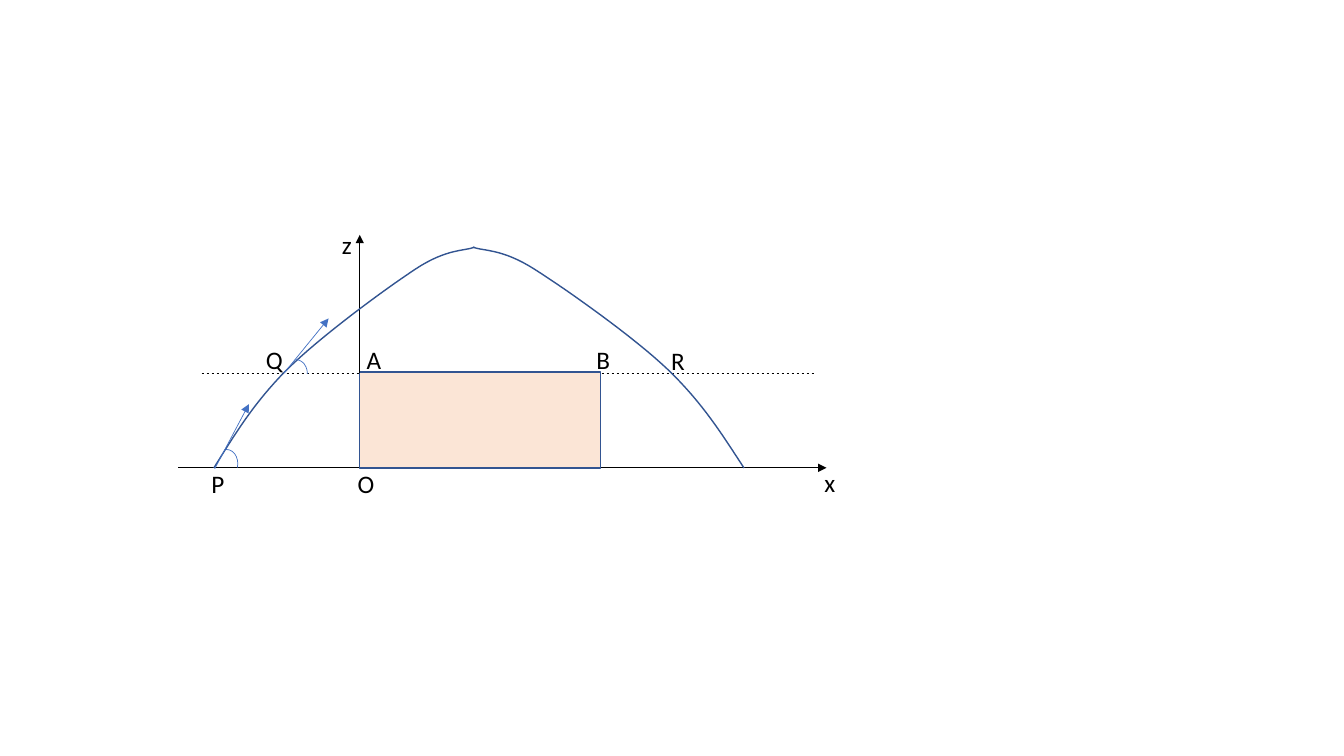
import pptx
import pptx.dml.color
import pptx.enum.dml
import pptx.enum.shapes
import pptx.enum.text
import pptx.oxml
import pptx.oxml.ns
import pptx.util

Pt = pptx.util.Pt
FONT = "Calibri"
COLOURS = {
    "ink": "000000",
    "outline": "325491",
    "vector": "4472C4",
    "block": "FBE5D6",
}

GROUND = 334.2
ROOF = 266.4
WALL = 257
STEPS = 16

# Half of the flight: x grows from the foot to the apex, y is height above ground.
HALF_FLIGHT = [
    [(0, 0), (14.4, 23), (28.1, 46), (51.8, 69.8)],
    [(51.8, 69.8), (75.6, 93.5), (121.7, 127.3), (144, 142)],
    [(144, 142), (166.3, 156.8), (179.3, 154.8), (186.2, 157.7)],
]

LABELS = [
    ("A", 254.9, 242.6, 17.3),
    ("B", 419, 242.6, 17.3),
    ("O", 248.4, 331, 18),
    ("x", 581.8, 330.6, 15),
    ("z", 237.6, 160, 13.7),
    ("P", 144, 331, 16.6),
    ("Q", 182.9, 242.6, 18),
    ("R", 472.3, 243.4, 16.6),
]


def rgb(name):
    return pptx.dml.color.RGBColor.from_string(COLOURS[name])


def style_line(line, colour, width):
    line.color.rgb = rgb(colour)
    line.width = Pt(width)


def add_line(drawing, start, end, colour, arrow=True):
    """Add a thin line with an arrowhead, or a dashed one without."""
    connector = drawing.shapes.add_connector(
        pptx.enum.shapes.MSO_CONNECTOR.STRAIGHT,
        *(Pt(value) for value in (*start, *end)))
    style_line(connector.line, colour, 0.5)
    properties = connector._element.spPr
    if arrow:
        head = pptx.oxml.parse_xml(
            f'<a:tailEnd {pptx.oxml.ns.nsdecls("a")} type="triangle"/>')
        properties.find(pptx.oxml.ns.qn("a:ln")).append(head)
    else:
        connector.line.dash_style = pptx.enum.dml.MSO_LINE.DASH
    properties.append(pptx.oxml.parse_xml(
        f'<a:effectLst {pptx.oxml.ns.nsdecls("a")}/>'))


def add_block(drawing, left, top, width, height):
    block = drawing.shapes.add_shape(
        pptx.enum.shapes.MSO_SHAPE.RECTANGLE,
        Pt(left), Pt(top), Pt(width), Pt(height))
    block.shadow.inherit = False
    block.fill.solid()
    block.fill.fore_color.rgb = rgb("block")
    style_line(block.line, "outline", 1)


def add_angle(drawing, left, top, end):
    angle = drawing.shapes.add_shape(
        pptx.enum.shapes.MSO_SHAPE.ARC, Pt(left), Pt(top), Pt(15.8), Pt(20.2))
    angle.adjustments[0] = 160.07
    angle.adjustments[1] = end
    angle.shadow.inherit = False
    angle.fill.background()
    style_line(angle.line, "vector", 0.5)


def bezier(points, t):
    weights = ((1 - t) ** 3, 3 * t * (1 - t) ** 2, 3 * t ** 2 * (1 - t), t ** 3)
    return [sum(w * point[axis] for w, point in zip(weights, points))
            for axis in (0, 1)]


def add_flight(drawing, foot, stretch):
    """Draw half of the flight; a negative stretch mirrors it."""
    outline = []
    for segment in HALF_FLIGHT:
        for step in range(1, STEPS + 1):
            x, y = bezier(segment, step / STEPS)
            outline.append((Pt(foot + stretch * x), Pt(GROUND - y)))
    builder = drawing.shapes.build_freeform(Pt(foot), Pt(GROUND))
    builder.add_line_segments(outline, close=False)
    curve = builder.convert_to_shape()
    curve.shadow.inherit = False
    curve.fill.background()
    style_line(curve.line, "outline", 1)


def add_label(drawing, text, left, top, width):
    box = drawing.shapes.add_textbox(Pt(left), Pt(top), Pt(width), Pt(21.6))
    frame = box.text_frame
    frame.word_wrap = False
    frame.auto_size = pptx.enum.text.MSO_AUTO_SIZE.SHAPE_TO_FIT_TEXT
    span = frame.paragraphs[0].add_run()
    span.text = text
    span.font.name = FONT
    span.font.size = Pt(18)
    span.font.color.rgb = rgb("ink")


def main():
    deck = pptx.Presentation()
    deck.slide_width, deck.slide_height = Pt(960), Pt(540)
    page = deck.slides.add_slide(deck.slide_layouts[6])
    drawing = page.shapes.add_group_shape()

    add_line(drawing, (127.5, GROUND), (590.4, GROUND), "ink")
    add_line(drawing, (144, ROOF), (581.8, ROOF), "ink", arrow=False)
    add_block(drawing, WALL, 265.8, 172, 68.4)
    add_line(drawing, (WALL, ROOF), (WALL, 167.8), "ink")

    add_flight(drawing, 152.8, 1)
    add_flight(drawing, 531.4, -1.04)

    add_line(drawing, (203, ROOF), (234.7, 227.5), "vector")
    add_angle(drawing, 203.8, 257, 0)
    add_line(drawing, (153.4, 334.8), (177.8, 288.7), "vector")
    add_angle(drawing, 154.1, 321.1, 12.42)

    for label in LABELS:
        add_label(drawing, *label)

    deck.save("out.pptx")


if __name__ == "__main__":
    main()
